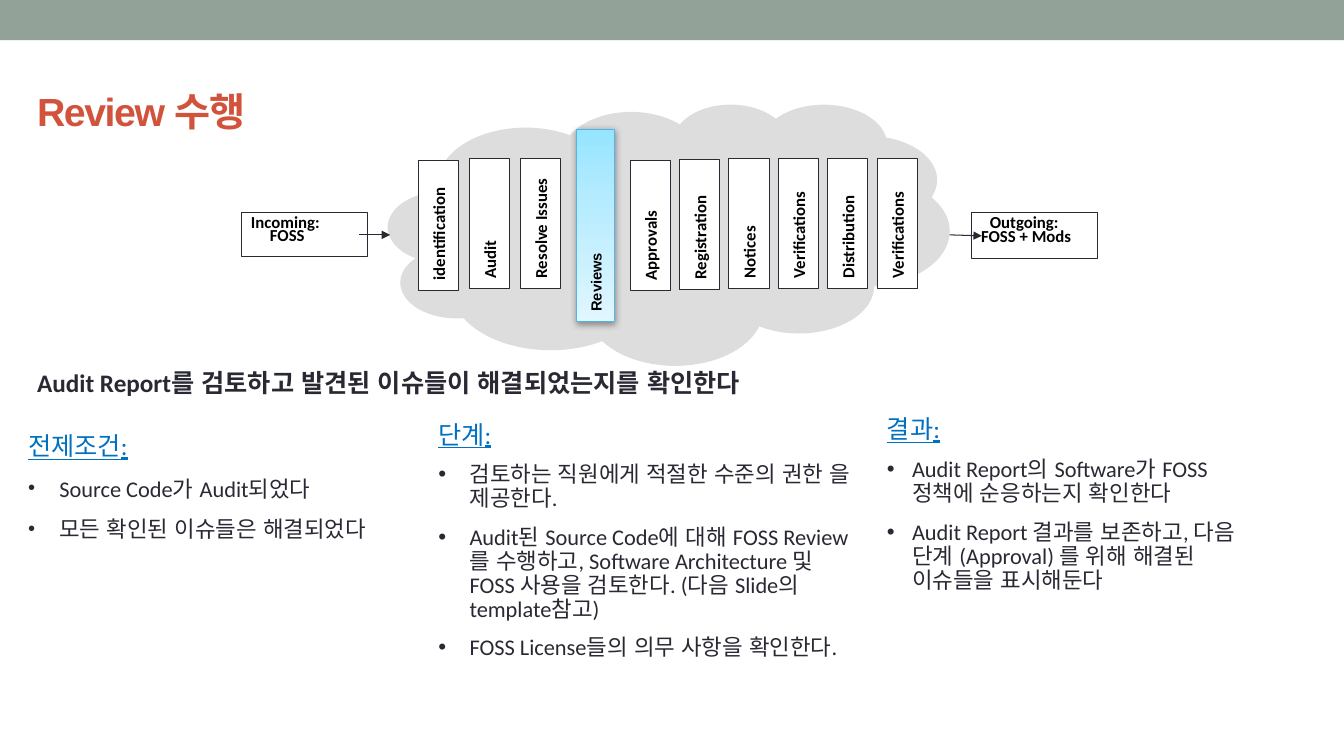
import copy
from dataclasses import dataclass

import pptx
import pptx.dml.color
import pptx.enum.lang
import pptx.enum.shapes
import pptx.enum.text
import pptx.oxml
import pptx.oxml.ns
import pptx.util
from lxml import etree

Shape = pptx.enum.shapes.MSO_SHAPE
Anchor = pptx.enum.text.MSO_ANCHOR
Align = pptx.enum.text.PP_ALIGN
qn = pptx.oxml.ns.qn
CELL = pptx.util.Inches(0.1)
COLUMNS, ROWS = 133.33, 75


@dataclass(frozen=True)
class Theme:
    band: str = "93A299"
    cloud: str = "DDDDDD"
    paper: str = "FFFFFF"
    ink: str = "292934"
    label: str = "000000"
    title: str = "D2533C"
    heading: str = "0070C0"
    highlight_line: str = "55B4E5"
    highlight: tuple = ((0, "95E5FF"), (0.35, "B4EBFF"), (1, "E0F7FF"))
    body_font: str = "Calibri"
    title_font: str = "Arial"
    title_size: float = 28
    heading_size: float = 18
    body_size: float = 16
    label_size: float = 12
    highlight_size: float = 10.5
    hairline: float = 0.75


@dataclass(frozen=True)
class Area:
    col: float
    row: float
    cols: float
    rows: float

    def emu(self) -> list:
        return [round(n * CELL) for n in (self.col, self.row, self.cols, self.rows)]


@dataclass(frozen=True)
class Style:
    size: float
    color: str
    font: str = "Calibri"
    bold: bool = False
    underline: bool = False


@dataclass(frozen=True)
class StageGroup:
    start: float
    pitch: float
    stages: tuple


@dataclass(frozen=True)
class Endpoint:
    area: Area
    lines: tuple
    spacing: float
    right_inset: float


@dataclass(frozen=True)
class Topic:
    area: Area
    heading: str
    points: tuple
    indent: float
    heading_spacing: float = 0.9
    point_spacing: float = 0.9
    bullet_size: int = 100
    insets: tuple = (1, 0.5, 1, 0.5)


THEME = Theme()
LABEL = Style(THEME.label_size, THEME.label, THEME.body_font, bold=True)
STAGE_GROUPS = (
    StageGroup(41.5, 5.05, (("identification", 15.9), ("Audit", 15.7), ("Resolve Issues", 15.7))),
    StageGroup(62.5, 4.9, (("Approvals", 15.9), ("Registration", 15.8), ("Notices", 15.7),
                           ("Verifications", 15.7), ("Distribution", 15.7), ("Verifications", 15.7))),
)
ENDPOINTS = (
    Endpoint(Area(24, 21.1, 12.5, 4.4), ("Incoming: ", "FOSS"), 0.65, 4),
    Endpoint(Area(96.4, 21.1, 12.5, 4.6), ("Outgoing: ", "FOSS + Mods"), 0.7, 2.2),
)
FLOWS = (Area(35.6, 23.3, 3.1, 0), Area(94.2, 23.3, 3.2, 0.1))
TOPICS = (
    Topic(Area(0, 39.2, 41.5, 32.6), "전제조건:",
          ("Source Code가 Audit되었다", "모든 확인된 이슈들은 해결되었다"),
          3.1, 1.5, 1, 90, (2.8, 2, 2, 2.4)),
    Topic(Area(87, 40.9, 39.5, 31), "결과:",
          ("Audit Report의 Software가 FOSS 정책에 순응하는지 확인한다",
           "Audit Report 결과를 보존하고, 다음 단계 (Approval) 를 위해 해결된 이슈들을 표시해둔다"), 2.5),
    Topic(Area(42.5, 41.4, 44.2, 30.3), "단계:",
          ("검토하는 직원에게 적절한 수준의 권한 을 제공한다.",
           "Audit된 Source Code에 대해 FOSS Review를 수행하고, Software Architecture 및 FOSS 사용을 "
           "검토한다. (다음 Slide의 template참고)",
           "FOSS License들의 의무 사항을 확인한다."), 3.1),
)


def rgb(code: str):
    return pptx.dml.color.RGBColor.from_string(code)


def add_block(slide, kind, area: Area, fill: str, line: str = ""):
    block = slide.shapes.add_shape(kind, *area.emu())
    block.shadow.inherit = False
    block.fill.solid()
    block.fill.fore_color.rgb = rgb(fill)
    if line:
        block.line.color.rgb = rgb(line)
        block.line.width = pptx.util.Pt(THEME.hairline)
    else:
        block.line.fill.background()
    return block


def format_paragraph(paragraph, style: Style) -> None:
    for run in paragraph.runs:
        font = run.font
        font.name, font.size = style.font, pptx.util.Pt(style.size)
        font.bold, font.underline = style.bold, style.underline
        font.color.rgb = rgb(style.color)
        font.language_id = pptx.enum.lang.MSO_LANGUAGE_ID.KOREAN


def set_insets(frame, insets: tuple) -> None:
    (frame.margin_left, frame.margin_top,
     frame.margin_right, frame.margin_bottom) = [round(n * CELL) for n in insets]


def add_stage(slide, area: Area, name: str, style: Style, line: str):
    stage = add_block(slide, Shape.RECTANGLE, area, THEME.paper, line)
    stage.rotation = 180
    frame = stage.text_frame
    frame.text = name
    frame.word_wrap = True
    frame.vertical_anchor = Anchor.MIDDLE
    frame._txBody.bodyPr.set("vert", "eaVert")
    frame.paragraphs[0].alignment = Align.CENTER
    format_paragraph(frame.paragraphs[0], style)
    return stage


def highlight_stage(stage) -> None:
    stage.fill.gradient()
    stage.fill.gradient_angle = 90
    stops = stage._element.spPr.find(".//" + qn("a:gsLst"))
    stops.append(copy.deepcopy(stops[-1]))
    for stop, (position, color) in zip(stage.fill.gradient_stops, THEME.highlight):
        stop.color.rgb = rgb(color)
        stop.position = position
    effects = stage._element.spPr.find(qn("a:effectLst"))
    shadow = etree.SubElement(effects, qn("a:outerShdw"), blurRad=str(pptx.util.Pt(5)),
                              dist=str(pptx.util.Pt(1.6)), dir="5400000", rotWithShape="0")
    tint = etree.SubElement(shadow, qn("a:srgbClr"), val=THEME.label)
    etree.SubElement(tint, qn("a:alpha"), val="38000")


def add_endpoint(slide, endpoint: Endpoint) -> None:
    block = add_block(slide, Shape.RECTANGLE, endpoint.area, THEME.paper, THEME.ink)
    frame = block.text_frame
    frame.text = "\n".join(endpoint.lines)
    frame.word_wrap = True
    frame.vertical_anchor = Anchor.TOP
    set_insets(frame, (0.5, 0.5, endpoint.right_inset, 0.5))
    for paragraph in frame.paragraphs:
        paragraph.alignment = Align.CENTER
        paragraph.line_spacing = endpoint.spacing
        format_paragraph(paragraph, LABEL)


def add_flow(slide, area: Area) -> None:
    left, top, width, height = area.emu()
    flow = slide.shapes.add_connector(pptx.enum.shapes.MSO_CONNECTOR.STRAIGHT,
                                      left, top, left + width, top + height)
    flow.line.color.rgb = rgb(THEME.ink)
    flow.line.width = pptx.util.Pt(THEME.hairline)
    etree.SubElement(flow.line._get_or_add_ln(), qn("a:tailEnd"), type="triangle")
    etree.SubElement(flow._element.spPr, qn("a:effectLst"))


def add_text(slide, area: Area, text: str, style: Style, anchor=Anchor.TOP):
    frame = slide.shapes.add_textbox(*area.emu()).text_frame
    frame.text = text
    frame.word_wrap = True
    frame.vertical_anchor = anchor
    format_paragraph(frame.paragraphs[0], style)
    return frame


def add_topic(slide, topic: Topic) -> None:
    heading_style = Style(THEME.heading_size, THEME.heading, underline=True)
    frame = add_text(slide, topic.area, topic.heading, heading_style)
    set_insets(frame, topic.insets)
    frame.paragraphs[0].line_spacing = topic.heading_spacing
    frame.paragraphs[0].space_before = pptx.util.Pt(10)
    indent = round(topic.indent * CELL)
    for point in topic.points:
        paragraph = frame.add_paragraph()
        paragraph.text = point
        paragraph.line_spacing = topic.point_spacing
        paragraph.space_before = pptx.util.Pt(10)
        format_paragraph(paragraph, Style(THEME.body_size, THEME.ink))
        properties = paragraph._p.get_or_add_pPr()
        properties.set("marL", str(indent))
        properties.set("indent", str(-indent))
        etree.SubElement(properties, qn("a:buSzPct"), val=str(topic.bullet_size * 1000))
        etree.SubElement(properties, qn("a:buFont"), typeface=THEME.title_font)
        etree.SubElement(properties, qn("a:buChar"), char="•")


def main() -> None:
    deck = pptx.Presentation()
    deck.slide_width, deck.slide_height = round(COLUMNS * CELL), ROWS * CELL
    slide = deck.slides.add_slide(deck.slide_layouts[6])
    add_block(slide, Shape.RECTANGLE, Area(0, 0, COLUMNS, 4), THEME.band)
    cloud = add_block(slide, Shape.CLOUD_CALLOUT, Area(38.5, 10.3, 55.7, 25.9), THEME.cloud)
    cloud.adjustments[0], cloud.adjustments[1] = -0.01, 0.12
    for endpoint in ENDPOINTS:
        add_endpoint(slide, endpoint)
    for flow in FLOWS:
        add_flow(slide, flow)
    review_style = Style(THEME.highlight_size, THEME.label, THEME.title_font, bold=True)
    highlight_stage(add_stage(slide, Area(57.2, 12.8, 3.8, 19.1), "Reviews",
                              review_style, THEME.highlight_line))
    for group in STAGE_GROUPS:
        for index, (name, row) in enumerate(group.stages):
            area = Area(group.start + index * group.pitch, row, 4, 12.9)
            add_stage(slide, area, name, LABEL, THEME.ink)
    for topic in TOPICS:
        add_topic(slide, topic)
    add_text(slide, Area(2.7, 35.9, 130.6, 4), "Audit Report를 검토하고 발견된 이슈들이 해결되었는지를 확인한다",
             Style(THEME.heading_size, THEME.ink, bold=True))
    title = add_text(slide, Area(2.7, 5.6, 120, 10.8), "Review 수행",
                     Style(THEME.title_size, THEME.title, THEME.title_font, bold=True), Anchor.MIDDLE)
    title.paragraphs[0].runs[0].font._element.set("spc", "-100")
    deck.save("out.pptx")


if __name__ == "__main__":
    main()
